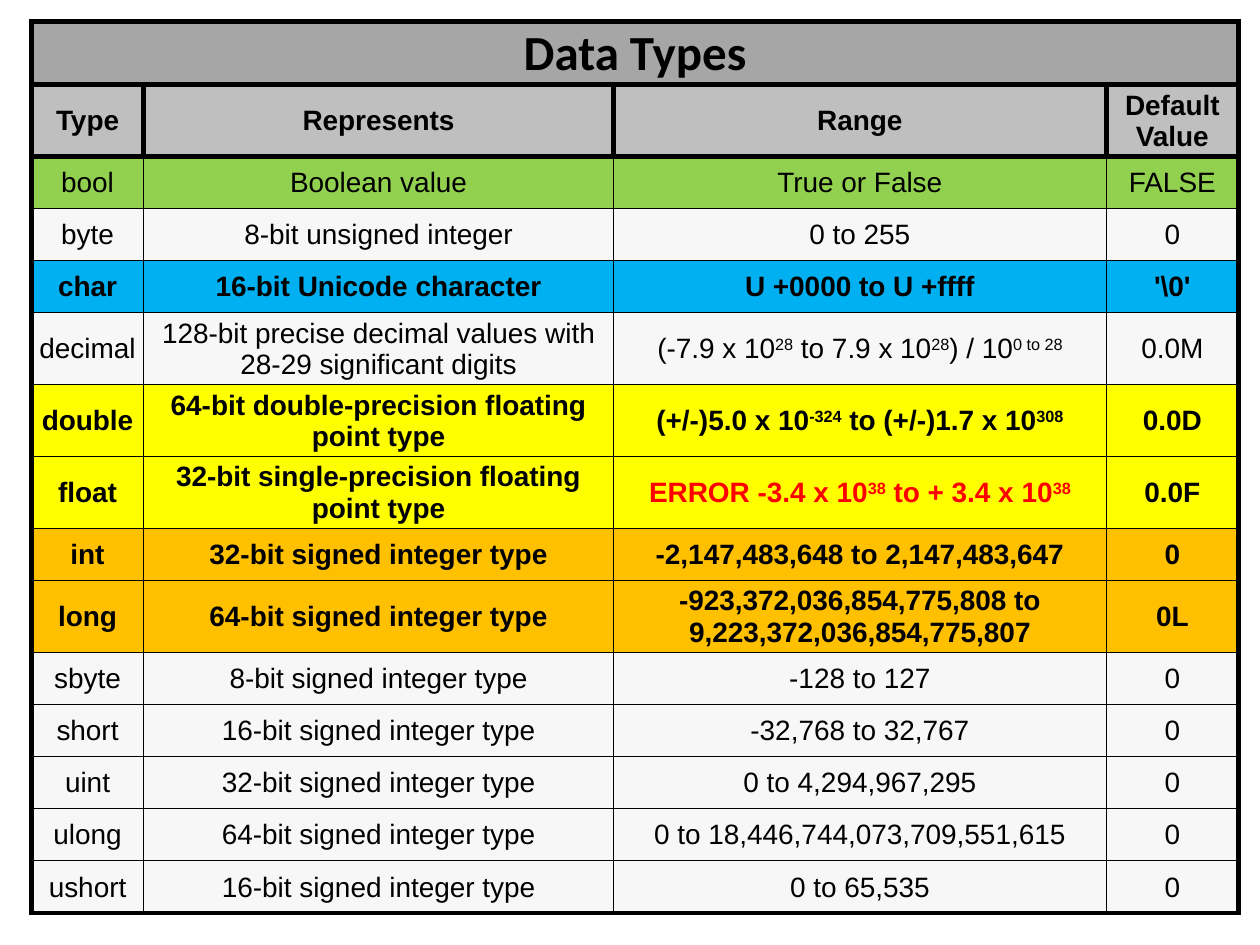
from lxml.etree import SubElement
from pptx import Presentation
from pptx.dml.color import RGBColor as RGB
from pptx.enum.text import MSO_ANCHOR as Anchor, PP_ALIGN as Align
from pptx.oxml.ns import qn
from pptx.util import Inches, Pt

BLACK = RGB(0x00, 0x00, 0x00)
RED = RGB(0xFF, 0x00, 0x00)
TITLE_GRAY = RGB(0xA6, 0xA6, 0xA6)
HEAD_GRAY = RGB(0xBF, 0xBF, 0xBF)
PALE = RGB(0xF7, 0xF7, 0xF7)
GREEN = RGB(0x92, 0xD0, 0x50)
BLUE = RGB(0x00, 0xB0, 0xF0)
YELLOW = RGB(0xFF, 0xFF, 0x00)
ORANGE = RGB(0xFF, 0xC0, 0x00)

LEFT, TOP, HEIGHT = 0.25, 0.17, 7.08
COLUMNS = (0.89, 3.73, 3.91, 1.05)
TITLE_ROW, TALL_ROW = 0.5, 0.57
THICK, THIN = 3, 0.5

TITLE = "Data Types"
HEADINGS = ("Type", "Represents", "Range", "Default Value")
# Carets enclose superscripts; each row is fill, bold, tall, cell texts.
TYPES = (
    (GREEN, False, False, ("bool", "Boolean value", "True or False", "FALSE")),
    (PALE, False, False, ("byte", "8-bit unsigned integer", "0 to 255", "0")),
    (BLUE, True, False, ("char", "16-bit Unicode character",
                         "U +0000 to U +ffff", r"'\0'")),
    (PALE, False, True, (
        "decimal", "128-bit precise decimal values with 28-29 significant digits",
        "(-7.9 x 10^28^ to 7.9 x 10^28^) / 10^0 to 28^", "0.0M")),
    (YELLOW, True, True, ("double", "64-bit double-precision floating point type",
                          "(+/-)5.0 x 10^-324^ to (+/-)1.7 x 10^308^", "0.0D")),
    (YELLOW, True, True, ("float", "32-bit single-precision floating point type",
                          "ERROR -3.4 x 10^38^ to + 3.4 x 10^38^", "0.0F")),
    (ORANGE, True, False, ("int", "32-bit signed integer type",
                           "-2,147,483,648 to 2,147,483,647", "0")),
    (ORANGE, True, True, ("long", "64-bit signed integer type",
                          "-923,372,036,854,775,808 to 9,223,372,036,854,775,807",
                          "0L")),
    (PALE, False, False, ("sbyte", "8-bit signed integer type", "-128 to 127", "0")),
    (PALE, False, False, ("short", "16-bit signed integer type",
                          "-32,768 to 32,767", "0")),
    (PALE, False, False, ("uint", "32-bit signed integer type",
                          "0 to 4,294,967,295", "0")),
    (PALE, False, False, ("ulong", "64-bit signed integer type",
                          "0 to 18,446,744,073,709,551,615", "0")),
    (PALE, False, False, ("ushort", "16-bit signed integer type",
                          "0 to 65,535", "0")),
)


def write_text(tf, text, size=16, font="Arial", color=BLACK, bold=False):
    """Write centred text, raising the parts between carets."""
    p = tf.paragraphs[0]
    p.alignment = Align.CENTER
    for i, part in enumerate(text.split("^")):
        if not part:
            continue
        r = p.add_run()
        r.text = part
        r.font.size = Pt(size)
        r.font.name = font
        r.font.bold = bold
        r.font.color.rgb = color
        if i % 2:
            r.font._element.set("baseline", "30000")


def set_borders(cell, left, right, top, bottom):
    """Draw black cell borders of the given widths in points."""
    tc_pr = cell._tc.get_or_add_tcPr()
    sides = zip(("lnL", "lnR", "lnT", "lnB"), (left, right, top, bottom))
    for i, (tag, width) in enumerate(sides):
        ln = SubElement(tc_pr, qn(f"a:{tag}"), w=str(Pt(width)))
        fill = SubElement(ln, qn("a:solidFill"))
        SubElement(fill, qn("a:srgbClr"), val=str(BLACK))
        tc_pr.insert(i, ln)


def style_cell(cell, fill, borders):
    """Set a cell's fill, margins, anchor and borders."""
    cell.fill.solid()
    cell.fill.fore_color.rgb = fill
    cell.margin_left = cell.margin_right = cell.margin_top = Inches(0.01)
    cell.margin_bottom = 0
    cell.vertical_anchor = Anchor.MIDDLE
    set_borders(cell, *borders)


def add_grid(slide):
    """Add the empty table with its column widths and row heights."""
    tall = [True] + [row[2] for row in TYPES]
    short_row = (HEIGHT - TITLE_ROW - TALL_ROW * sum(tall)) / tall.count(False)
    heights = [TITLE_ROW] + [TALL_ROW if t else short_row for t in tall]
    frame = slide.shapes.add_table(
        len(heights), len(COLUMNS), Inches(LEFT), Inches(TOP),
        Inches(sum(COLUMNS)), Inches(HEIGHT))
    table = frame.table
    for column, width in zip(table.columns, COLUMNS):
        column.width = Inches(width)
    for row, height in zip(table.rows, heights):
        row.height = Inches(height)
    return table


def fill_headings(table):
    """Fill the merged title row and the column headings."""
    for c, heading in enumerate(HEADINGS):
        style_cell(table.cell(0, c), TITLE_GRAY, (THICK,) * 4)
        style_cell(table.cell(1, c), HEAD_GRAY, (THICK,) * 4)
        write_text(table.cell(1, c).text_frame, heading, bold=True)
    title = table.cell(0, 0)
    title.merge(table.cell(0, len(COLUMNS) - 1))
    write_text(title.text_frame, TITLE, size=28, font="Calibri", bold=True)


def fill_types(table):
    """Fill one row per data type, with thick lines at the outer edges."""
    last_row, last_column = len(TYPES) - 1, len(COLUMNS) - 1
    for r, (fill, bold, _, texts) in enumerate(TYPES):
        for c, text in enumerate(texts):
            cell = table.cell(r + 2, c)
            edges = (c == 0, c == last_column, r == 0, r == last_row)
            style_cell(cell, fill, [THICK if e else THIN for e in edges])
            color = RED if text.startswith("ERROR") else BLACK
            write_text(cell.text_frame, text, color=color, bold=bold)


def main():
    """Build the slide and save it."""
    prs = Presentation()
    prs.slide_width, prs.slide_height = Inches(10), Inches(7.5)
    s = prs.slides.add_slide(prs.slide_layouts[6])
    table = add_grid(s)
    fill_headings(table)
    fill_types(table)
    prs.save("out.pptx")


main()
